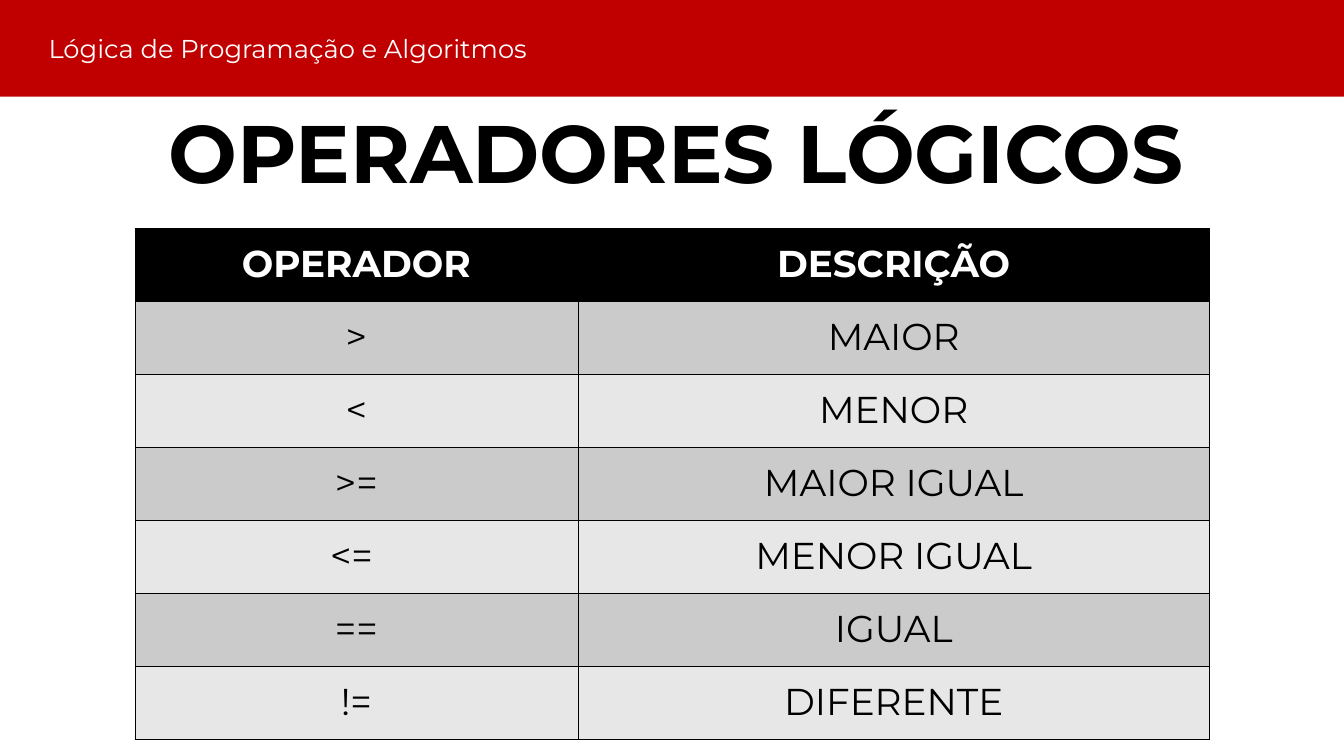
"""Builds the slide listing the comparison operators and their descriptions."""
import lxml.etree
import pptx
import pptx.dml.color
import pptx.enum.shapes
import pptx.enum.text
import pptx.oxml.ns
import pptx.util

Pt = pptx.util.Pt
COLORS = {
    "red": "C00000",
    "black": "000000",
    "white": "FFFFFF",
    "dark_band": "CBCBCB",
    "light_band": "E7E7E7",
}
OPERATORS = [
    ("OPERADOR", "DESCRIÇÃO"),
    (">", "MAIOR"),
    ("<", "MENOR"),
    (">=", "MAIOR IGUAL"),
    ("<= ", "MENOR IGUAL"),
    ("==", "IGUAL"),
    ("!=", "DIFERENTE"),
]


def write(frame, text, size, color, spacing, centered=True, bold=False):
    paragraph = frame.paragraphs[0]
    paragraph.text = text
    paragraph.line_spacing = Pt(spacing)
    if centered:
        paragraph.alignment = pptx.enum.text.PP_ALIGN.CENTER
    paragraph.font.name = "Montserrat"
    paragraph.font.size = Pt(size)
    paragraph.font.bold = bold
    paragraph.font.color.rgb = pptx.dml.color.RGBColor.from_string(COLORS[color])
    return paragraph


def add_text(left, top, width, height, *args, **kwargs):
    frame = slide.shapes.add_textbox(Pt(left), Pt(top), Pt(width), Pt(height)).text_frame
    frame.word_wrap = True
    frame.margin_left = frame.margin_right = frame.margin_top = frame.margin_bottom = 0
    return write(frame, *args, **kwargs)


presentation = pptx.Presentation()
presentation.slide_width = Pt(1440)
presentation.slide_height = Pt(810)
slide = presentation.slides.add_slide(presentation.slide_layouts[6])

title = add_text(103, 160, 1267, 67, "OPERADORES LÓGICOS ", 87.3, "black", 54, bold=True)
title.runs[0]._r.get_or_add_rPr().set("spc", "-10")

operators = slide.shapes.add_table(
    len(OPERATORS), 2, Pt(144.3), Pt(244.8), Pt(1151.5), Pt(546.7)
).table
operators.columns[0].width = Pt(475)
operators.columns[1].width = Pt(676.5)

for row, texts in enumerate(OPERATORS):
    operators.rows[row].height = Pt(78.1)
    header = row == 0
    band = "black" if header else "dark_band" if row % 2 else "light_band"
    for column, text in enumerate(texts):
        cell = operators.cell(row, column)
        cell.vertical_anchor = pptx.enum.text.MSO_ANCHOR.MIDDLE
        cell.margin_left = cell.margin_right = cell.margin_top = cell.margin_bottom = Pt(7.5)
        properties = cell._tc.get_or_add_tcPr()
        for side in ("lnL", "lnR", "lnT", "lnB"):
            border = lxml.etree.SubElement(
                properties, pptx.oxml.ns.qn(f"a:{side}"), w=str(Pt(0.37))
            )
            paint = lxml.etree.SubElement(border, pptx.oxml.ns.qn("a:solidFill"))
            lxml.etree.SubElement(paint, pptx.oxml.ns.qn("a:srgbClr"), val=COLORS["black"])
        cell.fill.solid()
        cell.fill.fore_color.rgb = pptx.dml.color.RGBColor.from_string(COLORS[band])
        write(cell.text_frame, text, 40, "white" if header else "black", 48, bold=header)

banner = slide.shapes.add_shape(
    pptx.enum.shapes.MSO_SHAPE.RECTANGLE, 0, 0, Pt(1440), Pt(103.7)
)
banner.shadow.inherit = False
banner.fill.solid()
banner.fill.fore_color.rgb = pptx.dml.color.RGBColor.from_string(COLORS["red"])
banner.line.fill.background()

add_text(
    52, 34.6, 597, 34, "Lógica de Programação e Algoritmos", 27.6, "white", 33.2, centered=False
)

presentation.save("out.pptx")
